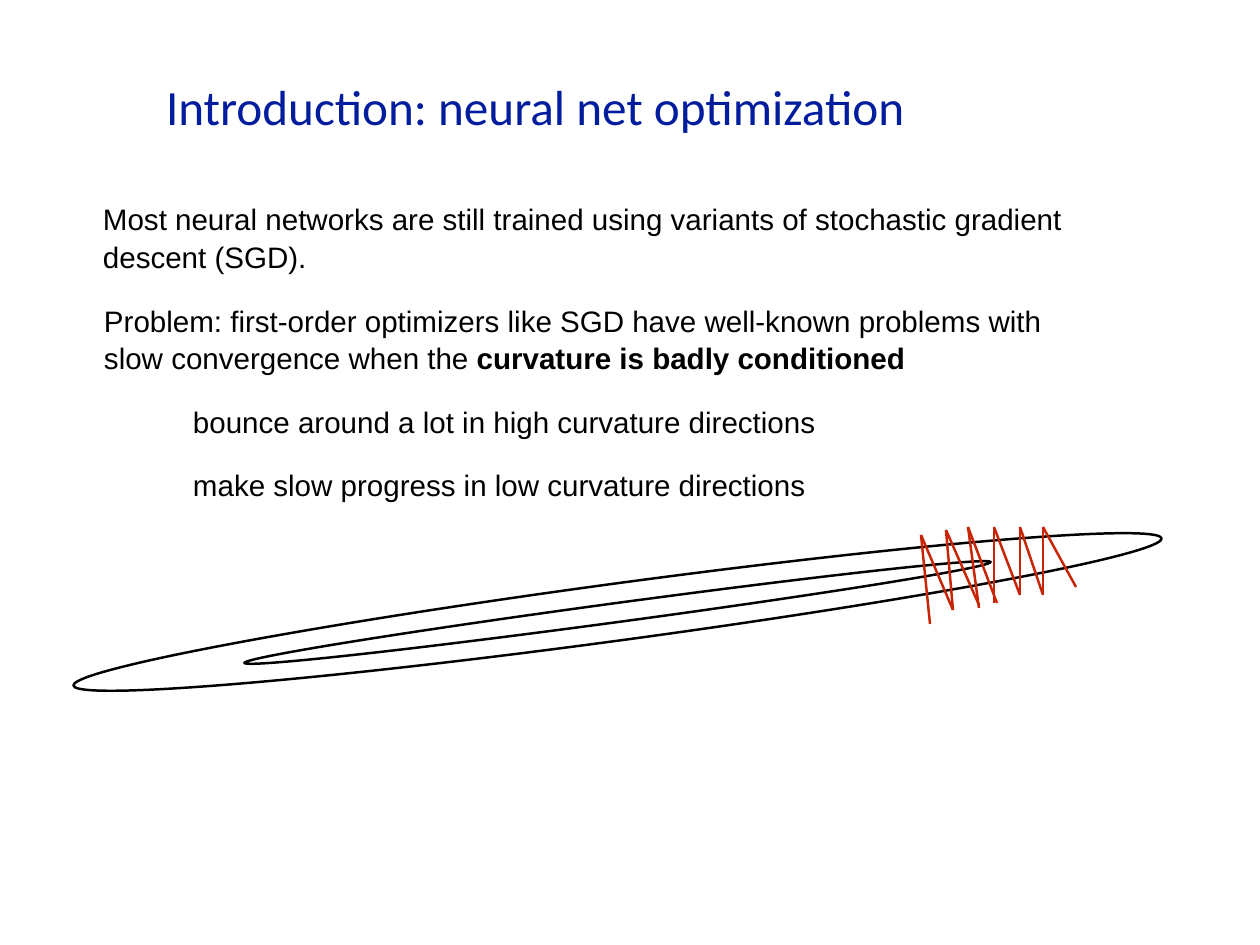
"""Build the slide on neural net optimization and badly conditioned curvature."""
from lxml import etree
from pptx import Presentation
from pptx import util as u
from pptx.dml import color
from pptx.enum import shapes, text
from pptx.oxml import ns

PX = 10320
INK, BLUE, RED = "000000", "011C9D", "C82506"
BODY = {"size": u.Pt(24), "name": "Arial"}

INTRO = [(0, [("Most neural networks are still trained using variants of "
               "stochastic gradient descent (SGD).", False)])]
PROBLEM = [
    (0, [("Problem: first-order optimizers like SGD have well-known problems "
          "with slow convergence when the ", False),
         ("curvature is badly conditioned", True)]),
    (89, [("bounce around a lot in high curvature directions", False)]),
    (89, [("make slow progress in low curvature directions", False)]),
]
CONTOURS = [(608, 236, 19, 753), (589, 63, 57, 1098)]
BOUNCES = [
    ((1043, 527), (1076, 587), (1043, 595)),
    ((1020, 527), (1043, 595), (1020, 595)),
    ((994, 527), (1020, 595), (994, 603)),
    ((968, 527), (997, 603), (979, 608)),
    ((946, 530), (979, 605), (953, 610)),
    ((921, 535), (953, 610), (930, 624)),
]


def px(*lengths):
    """Turn pixel lengths into EMU."""
    return [length * PX for length in lengths]


def rgb(value):
    """Turn a hex string into a colour."""
    return color.RGBColor.from_string(value)


def apply(target, values):
    """Set attributes from a dict of format values."""
    for name, value in values.items():
        setattr(target, name, value)


def set_frame(frame, inset, anchor):
    """Format a text frame with equal insets."""
    sides = ("left", "top", "right", "bottom")
    apply(frame, {f"margin_{side}": inset * PX for side in sides})
    apply(frame, {"word_wrap": True, "auto_size": text.MSO_AUTO_SIZE.NONE,
                  "vertical_anchor": anchor})


def set_line(shape, value):
    """Give a shape a two-point outline."""
    shape.line.color.rgb = rgb(value)
    shape.line.width = u.Pt(2)


def add_title(page, words):
    """Place and format the title."""
    title = page.shapes.title
    apply(title, dict(zip(("left", "top", "width", "height"),
                          px(123, 25, 1014, 161))))
    set_frame(title.text_frame, 43, text.MSO_ANCHOR.MIDDLE)
    para = title.text_frame.paragraphs[0]
    para.alignment = text.PP_ALIGN.LEFT
    span = para.add_run()
    span.text = words
    apply(span.font, {"size": u.Pt(40), "name": "Calibri"})
    span.font.color.rgb = rgb(BLUE)


def add_text(page, place, paragraphs, anchor):
    """Add a text box of indented paragraphs with bold spans."""
    frame = page.shapes.add_textbox(*px(*place)).text_frame
    set_frame(frame, 5, anchor)
    for index, (indent, spans) in enumerate(paragraphs):
        para = frame.add_paragraph() if index else frame.paragraphs[0]
        apply(para, {"line_spacing": 1.06, "space_before": u.Pt(21 if index else 0)})
        para._p.get_or_add_pPr().set("indent", str(indent * PX))
        for words, bold in spans:
            span = para.add_run()
            span.text = words
            apply(span.font, {**BODY, "bold": bold})
            span.font.color.rgb = rgb(INK)


def add_contour(page, place):
    """Add a tilted, unfilled ellipse."""
    ellipse = page.shapes.add_shape(shapes.MSO_SHAPE.OVAL, *px(*place))
    ellipse.rotation = 82.3
    ellipse.shadow.inherit = False
    ellipse.fill.background()
    set_line(ellipse, INK)


def add_stroke(page, start, end):
    """Add one red line of the zigzag."""
    stroke = page.shapes.add_connector(
        shapes.MSO_CONNECTOR.STRAIGHT, *px(*start, *end))
    set_line(stroke, RED)
    etree.SubElement(stroke._element.spPr, ns.qn("a:effectLst"))


def main():
    """Build and save the deck."""
    deck = Presentation()
    deck.slide_width, deck.slide_height = px(1260, 945)
    page = deck.slides.add_slide(deck.slide_layouts[5])
    add_title(page, "Introduction: neural net optimization")
    add_text(page, (98, 194, 1014, 119), INTRO, text.MSO_ANCHOR.TOP)
    for place in CONTOURS:
        add_contour(page, place)
    for peak, *ends in BOUNCES:
        for end in ends:
            add_stroke(page, peak, end)
    add_text(page, (99, 299, 974, 205), PROBLEM, text.MSO_ANCHOR.MIDDLE)
    deck.save("out.pptx")


if __name__ == "__main__":
    main()
